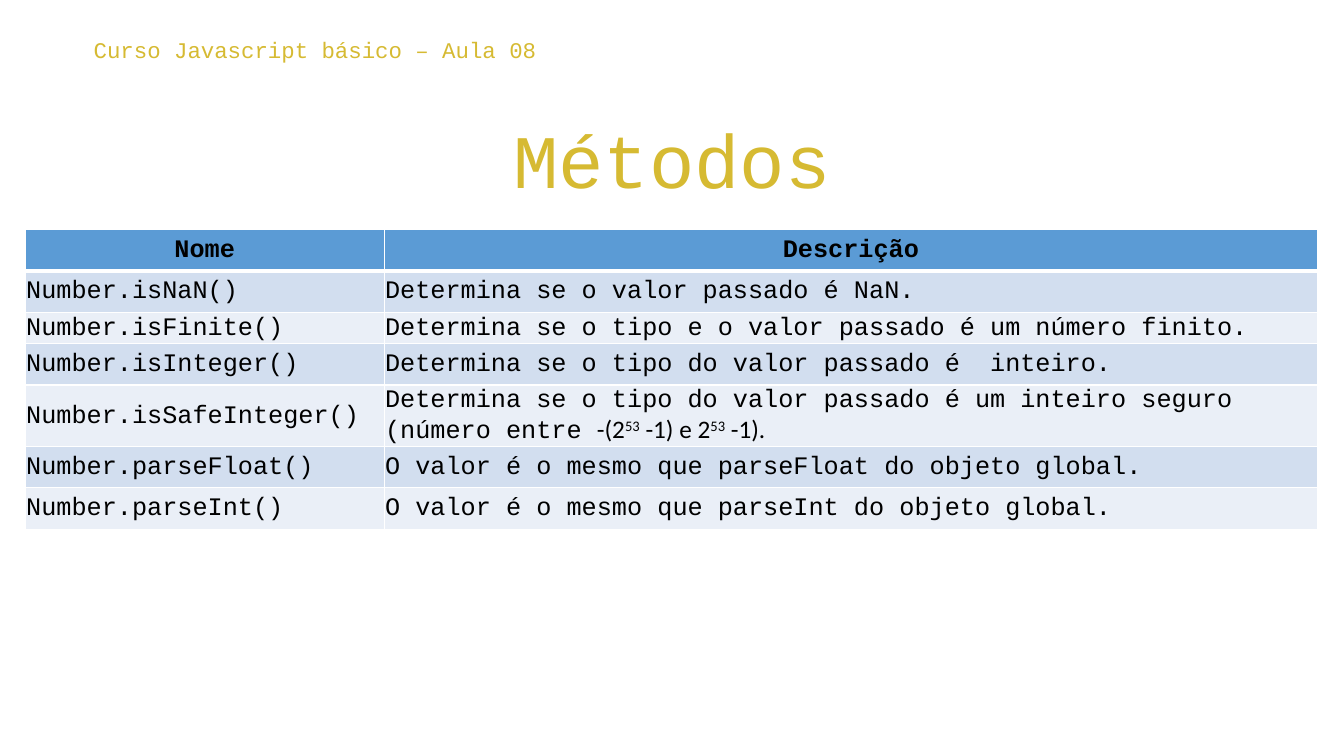
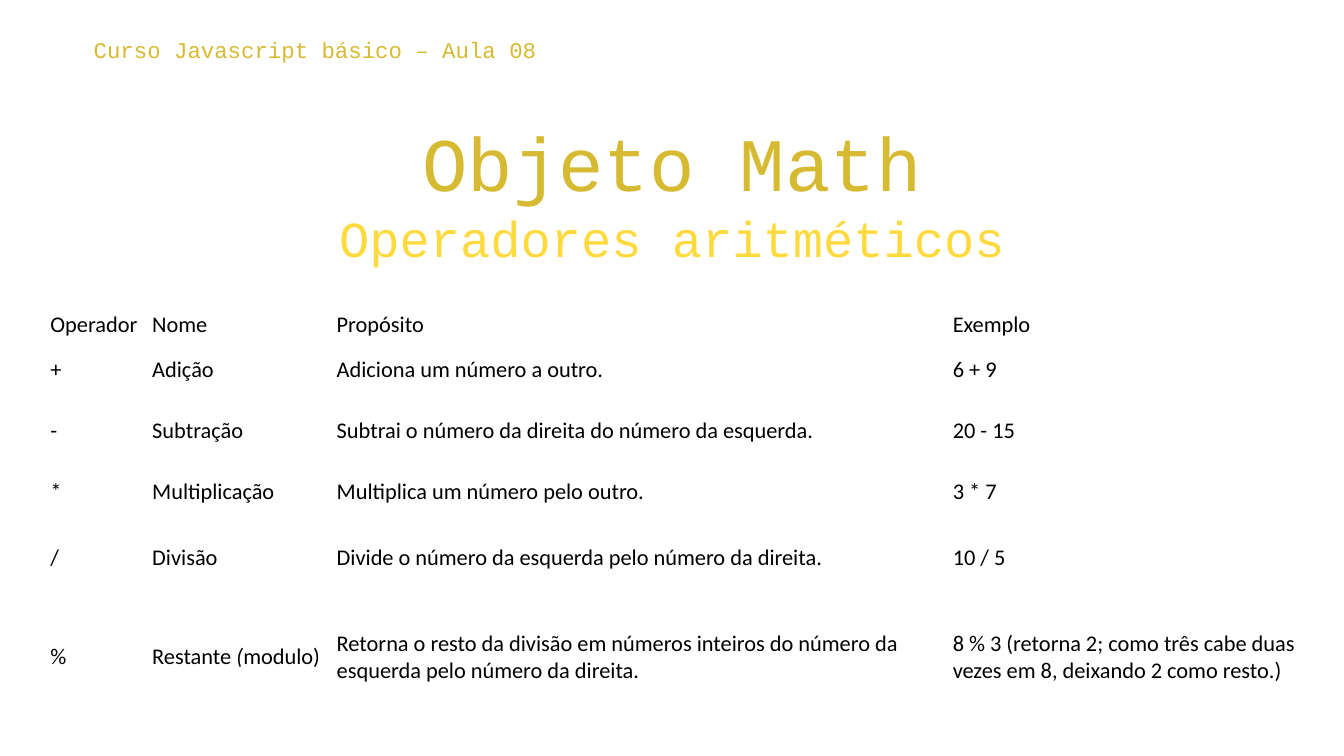
from lxml import etree
from pptx import Presentation
from pptx.dml.color import RGBColor
from pptx.enum import text
from pptx.oxml import ns
from pptx.util import Pt

PX = 9144  # EMU per px, 100 px to the inch
MONO, SANS = "Courier New", "Calibri"
GOLD = RGBColor(0xD6, 0xBA, 0x32)
YELLOW = RGBColor(0xFF, 0xDA, 0x3E)
BLACK = RGBColor(0, 0, 0)
WHITE = RGBColor(0xFF, 0xFF, 0xFF)
HEADER_BLUE = RGBColor(0x5B, 0x9B, 0xD5)
BAND_DARK = RGBColor(0xD2, 0xDE, 0xEF)
BAND_LIGHT = RGBColor(0xEA, 0xEF, 0xF7)
COURSE = "Curso Javascript básico – Aula 08"


def add_run(paragraph, words, font, size, color, bold=False, italic=False, baseline=0):
    run = paragraph.add_run()
    run.text = words
    run.font.name, run.font.size = font, Pt(size)
    run.font.color.rgb = color
    run.font.bold, run.font.italic = bold, italic
    if baseline:
        run.font._element.set("baseline", str(baseline * 1000))


def add_table(slide, left, top, columns, heights, rows, insets, font, size, fills, ruled):
    """Each cell is a string or a list of (words, run options)."""
    table = slide.shapes.add_table(
        len(rows), len(columns), left * PX, top * PX,
        sum(columns) * PX, sum(heights) * PX).table
    table.first_row = table.horz_banding = False
    for column, width in zip(table.columns, columns):
        column.width = width * PX
    for index, (row, height, cells) in enumerate(zip(table.rows, heights, rows)):
        row.height = height * PX
        for cell, content in zip(row.cells, cells):
            cell.margin_left, cell.margin_top, cell.margin_right, cell.margin_bottom = (
                inset * PX for inset in insets)
            cell.vertical_anchor = text.MSO_ANCHOR.MIDDLE
            # Borders go before the fill; the rule under the header is thicker
            properties = cell._tc.get_or_add_tcPr()
            for side in "LRTB" if ruled else "":
                thick = (index, side) in ((0, "B"), (1, "T"))
                line = etree.SubElement(properties, ns.qn("a:ln" + side),
                                        w=str(Pt(3 if thick else 1)))
                fill = etree.SubElement(line, ns.qn("a:solidFill"))
                etree.SubElement(fill, ns.qn("a:srgbClr"), val=str(WHITE))
            cell.fill.solid()
            cell.fill.fore_color.rgb = fills[index]
            paragraph = cell.text_frame.paragraphs[0]
            heading = ruled and index == 0
            if heading:
                paragraph.alignment = text.PP_ALIGN.CENTER
            runs = [(content, {})] if isinstance(content, str) else content
            for words, options in runs:
                style = {"font": font, "size": size, "color": BLACK, "bold": heading}
                add_run(paragraph, words, **{**style, **options})


presentation = Presentation()
presentation.slide_width, presentation.slide_height = 1333 * PX, 750 * PX

# Titles and course line: (top, height, lines)
titles = [
    (99, 129, [("Métodos", 54, GOLD)]),
    (102, 184, [("Objeto Math", 54, GOLD), ("Operadores aritméticos", 36, YELLOW)]),
]
slides = []
for title_top, title_height, title_lines in titles:
    slide = presentation.slides.add_slide(presentation.slide_layouts[6])
    slides.append(slide)
    for left, top, width, height, lines, alignment in (
            (0, title_top, 1333, title_height, title_lines, text.PP_ALIGN.CENTER),
            (80, 23, 1203, 56, [(COURSE, 16, GOLD)], text.PP_ALIGN.LEFT)):
        frame = slide.shapes.add_textbox(left * PX, top * PX, width * PX, height * PX).text_frame
        frame.word_wrap = True
        frame.margin_left = frame.margin_top = frame.margin_right = frame.margin_bottom = 13 * PX
        for number, (words, size, color) in enumerate(lines):
            paragraph = frame.add_paragraph() if number else frame.paragraphs[0]
            paragraph.alignment = alignment
            add_run(paragraph, words, MONO, size, color)

# Slide 1: methods of Number
plain = {"font": SANS}
power = {"font": SANS, "baseline": 30}
methods = [
    ("Nome", "Descrição"),
    ("Number.isNaN()", "Determina se o valor passado é NaN."),
    ("Number.isFinite()", "Determina se o tipo e o valor passado é um número finito."),
    ("Number.isInteger()", "Determina se o tipo do valor passado é  inteiro."),
    ("Number.isSafeInteger()", [
        ("Determina se o tipo do valor passado é um inteiro seguro (número entre ", {}),
        ("-(2", plain), ("53", power), (" -1) e 2", plain), ("53", power), (" -1).", plain)]),
    ("Number.parseFloat()", "O valor é o mesmo que parseFloat do objeto global."),
    ("Number.parseInt()", "O valor é o mesmo que parseInt do objeto global."),
]
add_table(slides[0], 25, 228, [356, 926], [41, 41, 15, 41, 41, 41, 41], methods,
          (1, 1, 1, 0), MONO, 18, [HEADER_BLUE] + [BAND_DARK, BAND_LIGHT] * 3, ruled=True)

# Slide 2: arithmetic operators
operators = [
    ("Operador", "Nome", "Propósito", "Exemplo"),
    ("+", "Adição", "Adiciona um número a outro.", "6 + 9"),
    ("-", "Subtração", "Subtrai o número da direita do número da esquerda.", "20 - 15"),
    ("*", "Multiplicação", "Multiplica um número pelo outro.", "3 * 7"),
    ("/", "Divisão", "Divide o número da esquerda pelo número da direita.", "10 / 5"),
    ("%", [("Restante ", {}), ("(", {"italic": True}), ("modulo)", {})],
     "Retorna o resto da divisão em números inteiros do número da esquerda "
     "pelo número da direita.",
     "8 % 3 (retorna 2; como três cabe duas vezes em 8, deixando 2 como resto.)"),
]
add_table(slides[1], 44, 305, [101, 183, 611, 361], [35, 53, 68, 53, 78, 120], operators,
          (6, 3, 6, 3), SANS, 16, [WHITE] * len(operators), ruled=False)

presentation.save("out.pptx")
